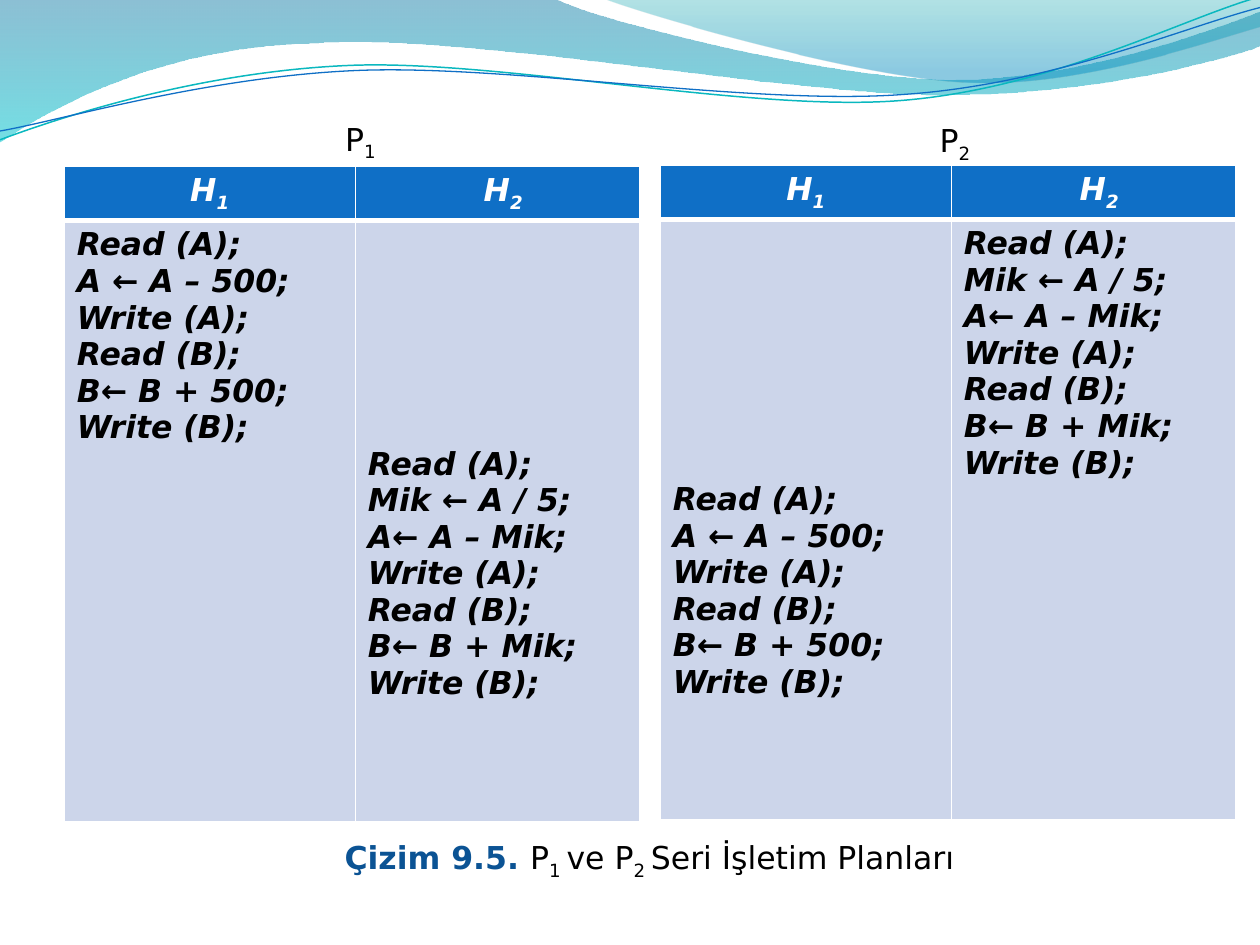
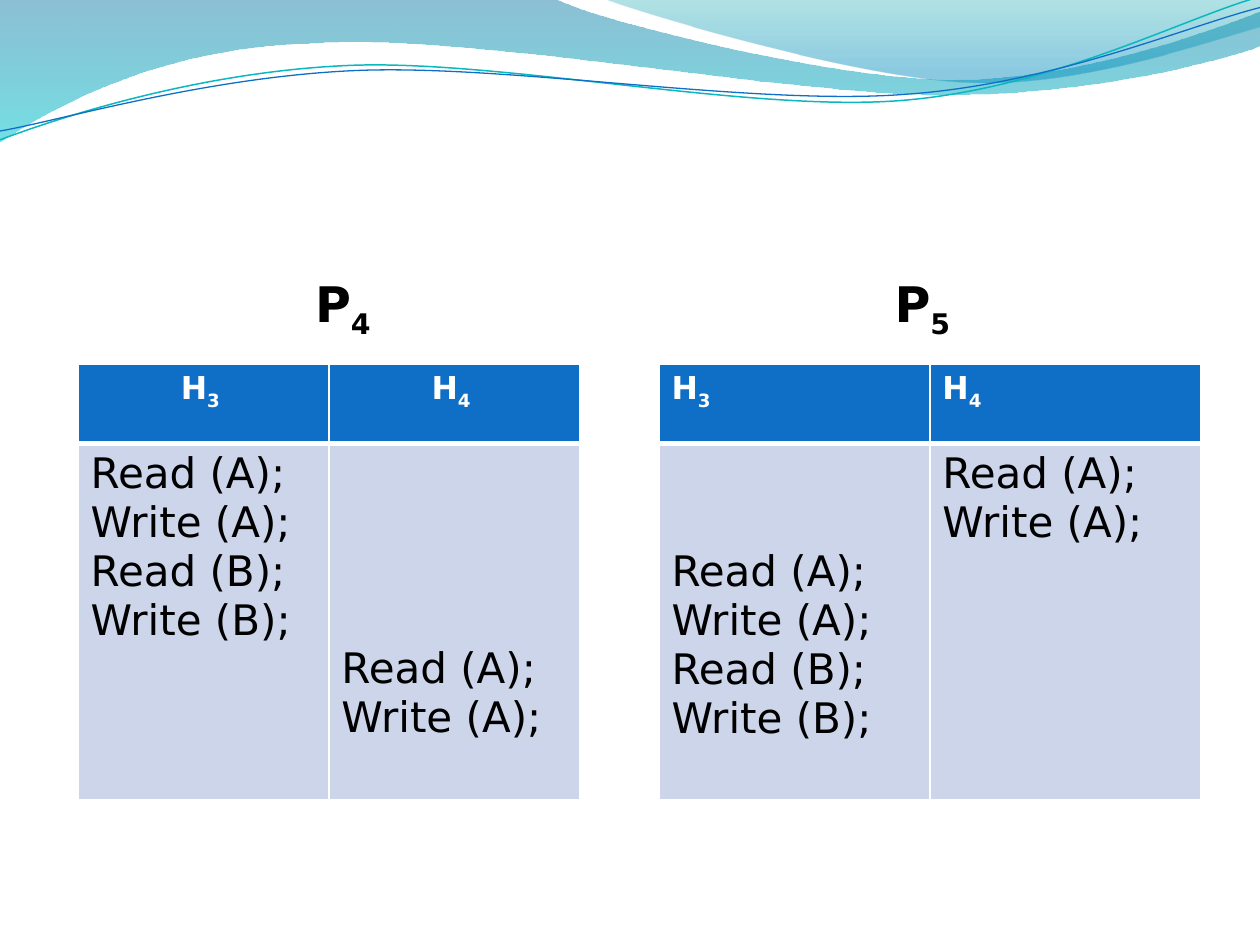
"""Two slides of serial execution plans shown as paired transaction tables."""
import pptx
import pptx.dml.color
import pptx.enum.text
import pptx.util
from lxml import etree
from pptx.oxml.ns import qn

Inches = pptx.util.Inches
Pt = pptx.util.Pt
RGBColor = pptx.dml.color.RGBColor
ALIGN = pptx.enum.text.PP_ALIGN

FONT = "DejaVu Sans"
BLACK = RGBColor(0x00, 0x00, 0x00)
WHITE = RGBColor(0xFF, 0xFF, 0xFF)
HEADER_BLUE = RGBColor(0x0F, 0x6F, 0xC6)
CELL_BLUE = RGBColor(0xCC, 0xD5, 0xEA)
CAPTION_BLUE = RGBColor(0x0B, 0x53, 0x94)
WAVE_TEAL = RGBColor(0x0A, 0xB8, 0xBF)
LEFT_WAVE_STOPS = [(0, RGBColor(0x00, 0x74, 0xA1), 45), (1, RGBColor(0x00, 0xC6, 0xCF), 55)]
RIGHT_WAVE_STOPS = [(0, RGBColor(0x00, 0xA1, 0xA9), 30), (0.8, RGBColor(0x00, 0x8B, 0xBF), 45)]

CELL_INSET = 0.05
LINE_FACTOR = 1.16

LEFT_WAVE = [
    (0, 0), [(4.4, -0.01)],
    [(4.76, 0.17), (6.64, 0.63), (7.58, 0.63)],
    [(8.53, 0.63), (9.58, 0.26), (10, 0.09)],
    [(10.01, 0.36)],
    [(9.83, 0.44), (8.7, 0.76), (7.46, 0.75)],
    [(6.22, 0.75), (3.82, 0.28), (2.57, 0.34)],
    [(1.29, 0.36), (0.46, 0.83), (-0.01, 1.13)],
]
RIGHT_WAVE = [
    (4.79, -0.01),
    [(5.09, 0.11), (6.82, 0.62), (7.69, 0.65)],
    [(8.56, 0.69), (9.61, 0.32), (10, 0.21)],
    [(10, 0)],
]
TEAL_LINE = [
    (0, 1.11),
    [(0.48, 0.93), (1.58, 0.57), (2.77, 0.52)],
    [(3.95, 0.47), (5.93, 0.89), (7.13, 0.8)],
    [(8.33, 0.71), (9.38, 0.15), (9.98, -0.02)],
]
BLUE_LINE = [
    (0, 1.04),
    [(0.47, 0.96), (1.64, 0.61), (2.83, 0.56)],
    [(4.03, 0.51), (5.97, 0.84), (7.17, 0.75)],
    [(8.36, 0.67), (9.41, 0.21), (10, 0.06)],
]

TRANSFER = ["Read (A);", "A ← A – 500;", "Write (A);", "Read (B);", "B← B + 500;", "Write (B);"]
SHARE = ["Read (A);", "Mik ← A / 5;", "A← A – Mik;", "Write (A);", "Read (B);", "B← B + Mik;", "Write (B);"]
READ_WRITE_BOTH = ["Read (A);", "Write (A);", "Read (B);", "Write (B);"]
READ_WRITE_A = READ_WRITE_BOTH[:2]


def bend_segments(shape, segments):
    """Turn each run of three control points into one cubic curve."""
    lines = iter(list(shape.element.iter(qn("a:lnTo"))))
    for segment in segments:
        steps = [next(lines) for point in segment]
        if len(steps) == 3:
            curve = etree.Element(qn("a:cubicBezTo"))
            steps[0].addprevious(curve)
            for step in steps:
                curve.append(step[0])
                step.getparent().remove(step)


def draw_outline(page, outline, close):
    """Draw an outline of lines and curves as a freeform without shadow."""
    start, *segments = outline
    builder = page.shapes.build_freeform(*map(Inches, start))
    points = [tuple(map(Inches, point)) for segment in segments for point in segment]
    builder.add_line_segments(points, close=close)
    shape = builder.convert_to_shape()
    bend_segments(shape, segments)
    shape.shadow.inherit = False
    return shape


def draw_wave(page, outline, stops):
    """Draw a wave with a translucent gradient running downwards."""
    wave = draw_outline(page, outline, True)
    wave.line.fill.background()
    wave.fill.gradient()
    wave.fill.gradient_angle = 270
    for stop, (position, color, opacity) in zip(wave.fill.gradient_stops, stops):
        stop.position = position
        stop.color.rgb = color
    for node, (position, color, opacity) in zip(wave.element.iter(qn("a:srgbClr")), stops):
        etree.SubElement(node, qn("a:alpha"), val=str(opacity * 1000))
    return wave


def draw_wave_line(page, outline, color, width):
    """Draw a thin open curve."""
    curve = draw_outline(page, outline, False)
    curve.fill.background()
    curve.line.color.rgb = color
    curve.line.width = Pt(width)
    return curve


def decorate_master(deck, page):
    """Draw the wave band and move it behind everything on the master."""
    band = [
        draw_wave(page, LEFT_WAVE, LEFT_WAVE_STOPS),
        draw_wave(page, RIGHT_WAVE, RIGHT_WAVE_STOPS),
        draw_wave_line(page, TEAL_LINE, WAVE_TEAL, 0.85),
        draw_wave_line(page, BLUE_LINE, HEADER_BLUE, 0.75),
    ]
    for position, shape in enumerate(band, start=2):
        deck.slide_master.shapes.element.insert(position, shape.element)


def add_spans(para, text, size, color=BLACK, bold=False, italic=False):
    """Add text in which an underscore lowers the next character and a space after it."""
    first, *rest = text.split("_")
    pieces = [(first, False)]
    for part in rest:
        end = 2 if part[1:2] == " " else 1
        pieces += [(part[:end], True), (part[end:], False)]
    for piece, lowered in pieces:
        if not piece:
            continue
        span = para.add_run()
        span.text = piece
        span.font.name = FONT
        span.font.size = Pt(size)
        span.font.color.rgb = color
        span.font.bold = bold
        span.font.italic = italic
        if lowered:
            span.font._element.set("baseline", "-25000")


def set_borders(cell, widths):
    """Give a cell white borders, with widths for left, right, top and bottom."""
    properties = cell._tc.get_or_add_tcPr()
    for position, (side, width) in enumerate(zip("LRTB", widths)):
        border = etree.Element(qn(f"a:ln{side}"), w=str(Pt(width)))
        fill = etree.SubElement(border, qn("a:solidFill"))
        etree.SubElement(fill, qn("a:srgbClr"), val=str(WHITE))
        properties.insert(position, border)


def fill_header(cell, text, align, italic):
    """Fill a heading cell."""
    cell.fill.solid()
    cell.fill.fore_color.rgb = HEADER_BLUE
    set_borders(cell, (1, 1, 1, 3))
    para = cell.text_frame.paragraphs[0]
    para.alignment = align
    add_spans(para, text, 18, WHITE, True, italic)


def fill_steps(cell, steps, skipped, size, emphasis):
    """Fill a cell with steps that start after a number of skipped lines."""
    cell.fill.solid()
    cell.fill.fore_color.rgb = CELL_BLUE
    set_borders(cell, (1, 1, 3, 1))
    cell.margin_top = Inches(CELL_INSET + skipped * size * LINE_FACTOR / 72)
    cell.text_frame.text = "\n".join(steps)
    for para in cell.text_frame.paragraphs:
        for span in para.runs:
            span.font.name = FONT
            span.font.size = Pt(size)
            span.font.color.rgb = BLACK
            span.font.bold = span.font.italic = emphasis


def add_plan(page, left, top, widths, heights, plan, size, align=ALIGN.CENTER, emphasis=False):
    """Add a plan table: one column per transaction, as (name, steps, skipped lines)."""
    table = page.shapes.add_table(
        2, len(plan), Inches(left), Inches(top), Inches(sum(widths)), Inches(sum(heights))
    ).table
    for row, height in zip(table.rows, heights):
        row.height = Inches(height)
    for index, (name, steps, skipped) in enumerate(plan):
        table.columns[index].width = Inches(widths[index])
        fill_header(table.cell(0, index), name, align, emphasis)
        fill_steps(table.cell(1, index), steps, skipped, size, emphasis)


def add_text(page, left, top, width, wrap):
    """Add an empty text box and return its first paragraph."""
    box = page.shapes.add_textbox(Inches(left), Inches(top), Inches(width), Inches(0.4))
    box.text_frame.word_wrap = wrap
    return box.text_frame.paragraphs[0]


def add_caption(page, left, top, width):
    """Add the centred figure caption."""
    para = add_text(page, left, top, width, True)
    para.alignment = ALIGN.CENTER
    add_spans(para, "Çizim 9.5. ", 18, CAPTION_BLUE, True)
    add_spans(para, "P_1 ve P_2 Seri İşletim Planları", 18)


def build_serial_plans(page):
    """Build the captioned slide with plans P1 and P2."""
    widths, heights = (2.31, 2.26), (0.43, 4.77)
    second = [("H_1", TRANSFER, 7), (" H_2", SHARE, 0)]
    first = [("H_1", TRANSFER, 0), (" H_2", SHARE, 6)]
    add_plan(page, 5.24, 1.31, widths, heights, second, 18, emphasis=True)
    add_plan(page, 0.51, 1.32, widths, heights, first, 18, emphasis=True)
    for name, left, top in (("P_1", 2.64, 0.9), ("P_2", 7.36, 0.91)):
        add_spans(add_text(page, left, top, 0.52, False), name, 18)
    add_caption(page, 0.51, 6.6, 9.29)


def set_plan_name(body, name, left, indent):
    """Place a plan name in a body placeholder, indented and without a bullet."""
    body.left, body.top, body.width, body.height = map(Inches, (left, 2.12, 4.5, 4.8))
    body.text_frame.auto_size = pptx.enum.text.MSO_AUTO_SIZE.NONE
    para = body.text_frame.paragraphs[0]
    para.space_before = Pt(0)
    properties = para._p.get_or_add_pPr()
    properties.set("marL", str(Inches(indent)))
    properties.set("indent", "0")
    etree.SubElement(properties, qn("a:buNone"))
    add_spans(para, name, 28, bold=True)


def build_short_plans(page):
    """Build the slide with plans P4 and P5."""
    title = page.shapes.title
    title.element.getparent().remove(title.element)
    set_plan_name(page.placeholders[1], "P_4", 0.5, 1.9)
    set_plan_name(page.placeholders[2], "P_5", 5, 2)
    heights = (0.63, 2.83)
    add_plan(page, 0.62, 2.89, (1.99, 1.99), heights,
             [("H_3 ", READ_WRITE_BOTH, 0), ("H_4 ", READ_WRITE_A, 4)], 24)
    add_plan(page, 5.23, 2.89, (2.15, 2.15), heights,
             [("H_3", READ_WRITE_BOTH, 2), ("H_4", READ_WRITE_A, 0)], 24, ALIGN.LEFT)


def main():
    """Build and save the deck."""
    deck = pptx.Presentation()
    deck.slide_width, deck.slide_height = Inches(10), Inches(7.5)
    serial_page = deck.slides.add_slide(deck.slide_layouts[6])
    decorate_master(deck, serial_page)
    build_serial_plans(serial_page)
    build_short_plans(deck.slides.add_slide(deck.slide_layouts[3]))
    deck.save("out.pptx")


if __name__ == "__main__":
    main()
